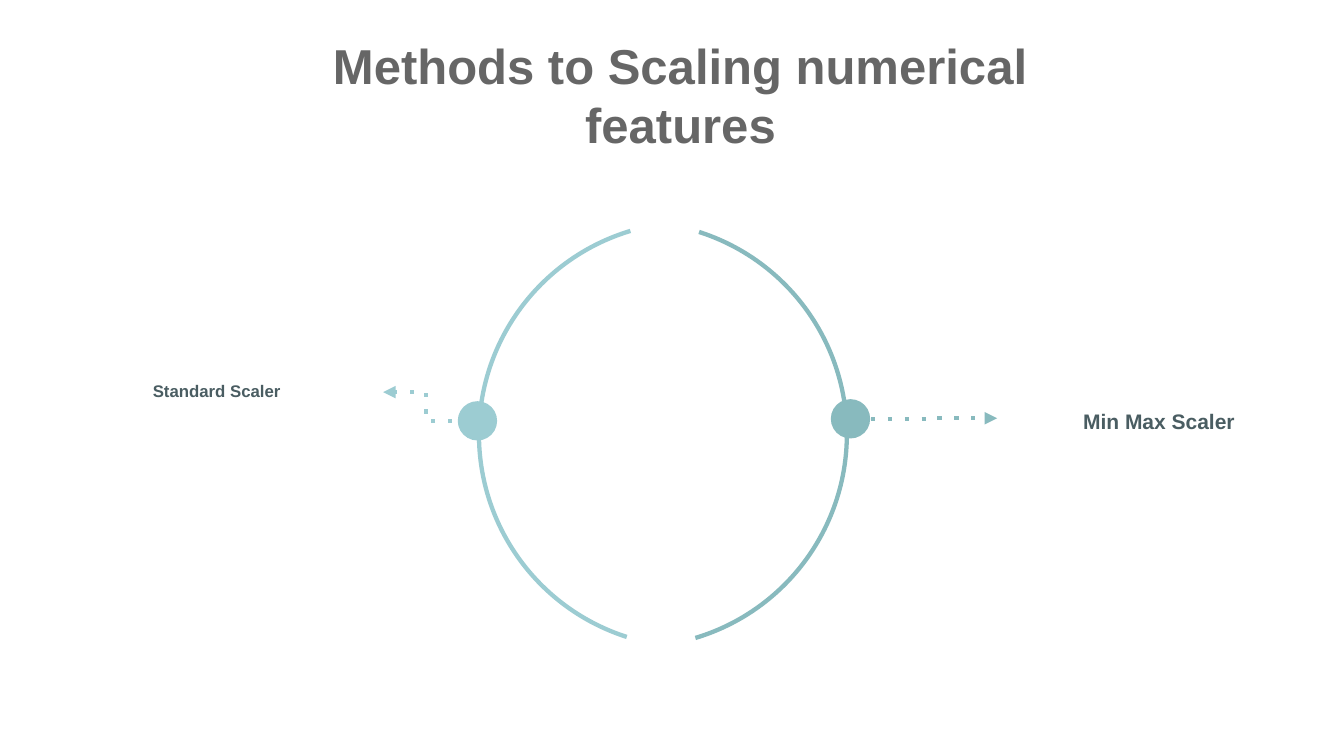
from lxml import etree
from pptx import Presentation
from pptx.dml.color import RGBColor
from pptx.enum.shapes import MSO_CONNECTOR, MSO_SHAPE
from pptx.enum.text import MSO_ANCHOR, MSO_AUTO_SIZE, PP_ALIGN
from pptx.oxml.ns import qn
from pptx.util import Inches, Pt

ARC, CIRCLE = MSO_SHAPE.BLOCK_ARC, MSO_SHAPE.OVAL
ELBOW = MSO_CONNECTOR.ELBOW
CENTER, MIDDLE, TOP = PP_ALIGN.CENTER, MSO_ANCHOR.MIDDLE, MSO_ANCHOR.TOP
NO_AUTOFIT = MSO_AUTO_SIZE.NONE

FONT = "Arial"
COLORS = {
    "title": "666666",
    "label": "4A5D62",
    "standard": "9CCCD2",
    "min_max": "88BABE",
}
ARC_SIZE, ARC_TOP = 4.26, 2.18
ARC_ADJUSTMENTS = (118.65, 205.97, 0.01)
DOT_SIZE = 0.39


def rgb(name):
    return RGBColor.from_string(COLORS[name])


def write_text(sp, text, size, color, anchor):
    tf = sp.text_frame
    tf.word_wrap = True
    tf.auto_size = NO_AUTOFIT
    tf.vertical_anchor = anchor
    p = tf.paragraphs[0]
    p.alignment = CENTER
    r = p.add_run()
    r.text = text
    r.font.name = FONT
    r.font.size = Pt(size)
    r.font.bold = True
    r.font.color.rgb = rgb(color)


def set_title(slide, text):
    sp = slide.shapes.title
    sp.left, sp.top = Inches(2.85), Inches(0.13)
    sp.width, sp.height = Inches(7.8), Inches(1.62)
    write_text(sp, text, 35, "title", MIDDLE)


def add_label(slide, text, left, top, width, size):
    sp = slide.shapes.add_textbox(Inches(left), Inches(top), Inches(width), Inches(0.3))
    write_text(sp, text, size, "label", TOP)


def add_solid(slide, kind, left, top, size, color):
    sp = slide.shapes.add_shape(kind, Inches(left), Inches(top), Inches(size), Inches(size))
    sp.shadow.inherit = False
    sp.fill.solid()
    sp.fill.fore_color.rgb = rgb(color)
    sp.line.fill.background()
    return sp


def add_arc(slide, left, rotation, color):
    sp = add_solid(slide, ARC, left, ARC_TOP, ARC_SIZE, color)
    sp.rotation = rotation
    for i, value in enumerate(ARC_ADJUSTMENTS):
        sp.adjustments[i] = value


def add_dotted_arrow(slide, start, end, color):
    cx = slide.shapes.add_connector(ELBOW, *map(Inches, start + end))
    cx.line.width = Pt(3)
    cx.line.color.rgb = rgb(color)
    ln = cx.line._get_or_add_ln()
    etree.SubElement(ln, qn("a:prstDash"), val="dot")
    etree.SubElement(ln, qn("a:tailEnd"), type="triangle")
    etree.SubElement(ln.getparent(), qn("a:effectLst"))


def main():
    prs = Presentation()
    prs.slide_width, prs.slide_height = Inches(13.33), Inches(7.5)
    slide = prs.slides.add_slide(prs.slide_layouts[5])
    set_title(slide, "Methods to Scaling numerical features")

    # Two halves of the ring
    add_arc(slide, 4.16, 90, "min_max")
    add_arc(slide, 4.73, 270, "standard")

    # Right branch
    add_label(slide, "Min Max Scaler", 10.12, 4, 2.75, 15)
    add_dotted_arrow(slide, (8.64, 4.16), (9.89, 4.15), "min_max")
    add_solid(slide, CIRCLE, 8.24, 3.96, DOT_SIZE, "min_max")

    # Left branch
    add_label(slide, "Standard Scaler", 0.73, 3.73, 2.84, 12)
    add_dotted_arrow(slide, (4.65, 4.18), (3.8, 3.89), "standard")
    add_solid(slide, CIRCLE, 4.54, 3.98, DOT_SIZE, "standard")

    prs.save("out.pptx")


if __name__ == "__main__":
    main()
